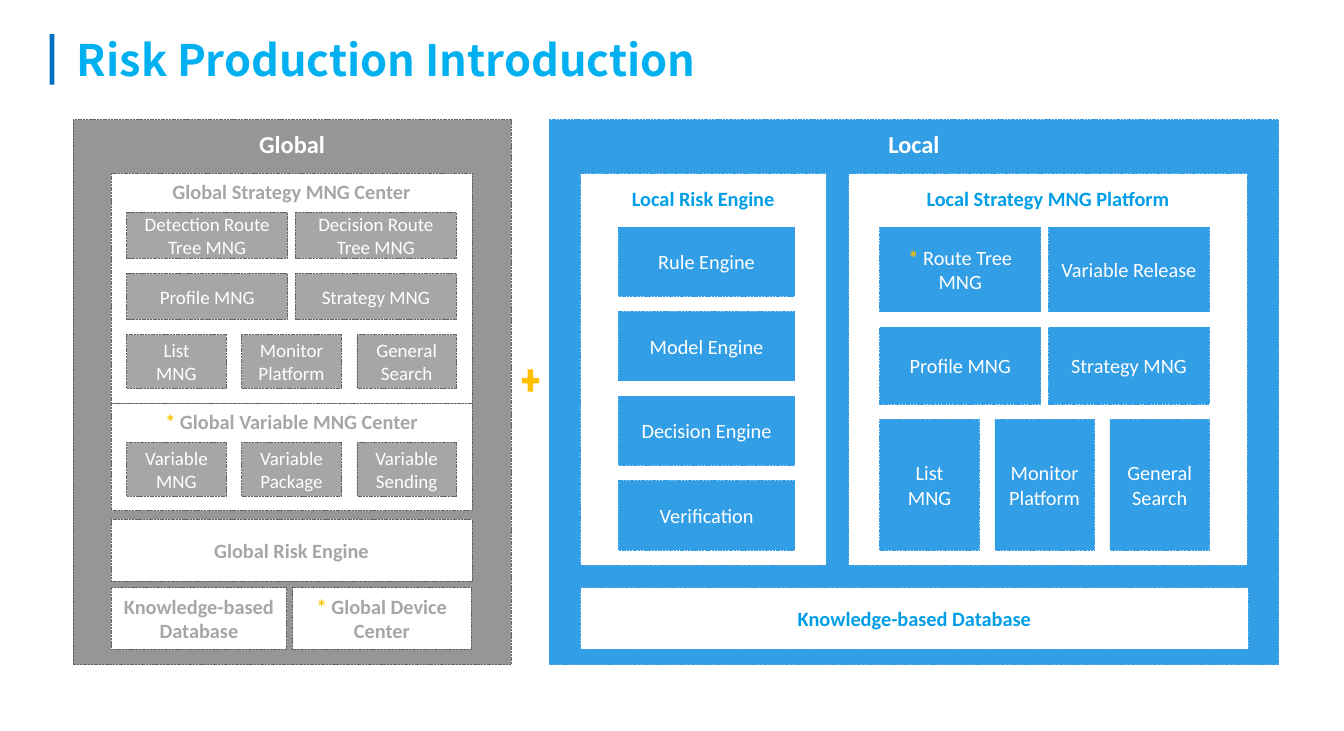
from dataclasses import dataclass

from pptx import Presentation
from pptx.dml.color import RGBColor
from pptx.enum.dml import MSO_LINE
from pptx.enum.shapes import MSO_SHAPE
from pptx.enum.text import MSO_ANCHOR, PP_ALIGN
from pptx.util import Inches, Pt

SLIDE_WIDTH, SLIDE_HEIGHT = Inches(13.78), Inches(7.5)
COLUMN, ROW = SLIDE_WIDTH / 100, SLIDE_HEIGHT / 100


@dataclass(frozen=True)
class Side:
    panel: str
    border: str
    tile: str
    heading: str
    tile_size: int


@dataclass(frozen=True)
class Theme:
    body_font: str = "Calibri"
    title_font: str = "Noto Sans CJK SC"
    title: str = "00B0F0"
    accent: str = "0070C0"
    star: str = "FFC000"
    white: str = "FFFFFF"
    title_size: int = 32
    panel_size: int = 18
    card_size: int = 15
    overall: Side = Side("969696", "646464", "A6A6A6", "A6A6A6", 14)
    local: Side = Side("319EE6", "319EE6", "319EE6", "009EE7", 15)


THEME = Theme()


@dataclass(frozen=True)
class Box:
    """An area on a grid of 100 columns by 100 rows."""
    left: float
    top: float
    width: float
    height: float

    def inner(self, left, top, width, height):
        return Box(self.left + left, self.top + top, width, height)

    def emu(self):
        return (round(self.left * COLUMN), round(self.top * ROW),
                round(self.width * COLUMN), round(self.height * ROW))


# Grid rules shared by both sides
HEADER = 7.33
BAND_TOP, BAND_HEIGHT = 64, 8.4
TILE_ROW_GAP = 2.1
TILE_COLUMN_GAP = 0.58
TILES_WIDTH = 24.53


def style_run(run, size, color, bold, font=THEME.body_font):
    run.font.name = font
    run.font.size = Pt(size)
    run.font.bold = bold
    run.font.color.rgb = RGBColor.from_string(color)


def add_block(slide, box, fill, border=None, outline=MSO_SHAPE.RECTANGLE):
    block = slide.shapes.add_shape(outline, *box.emu())
    block.shadow.inherit = False
    block.fill.solid()
    block.fill.fore_color.rgb = RGBColor.from_string(fill)
    if border:
        block.line.color.rgb = RGBColor.from_string(border)
        block.line.width = Pt(0.5)
        block.line.dash_style = MSO_LINE.SQUARE_DOT
    else:
        block.line.fill.background()
    return block


def add_label(block, label, size, color, bold=False, top_inset=None):
    """Centre a label; a leading star is gold, an inset pins it to the top."""
    frame = block.text_frame
    frame.word_wrap = True
    frame.vertical_anchor = MSO_ANCHOR.MIDDLE
    if top_inset is not None:
        frame.vertical_anchor = MSO_ANCHOR.TOP
        frame.margin_top = Inches(top_inset)
    starred = label.startswith("* ")
    frame.text = "* " if starred else label
    for paragraph in frame.paragraphs:
        paragraph.alignment = PP_ALIGN.CENTER
        for run in paragraph.runs:
            style_run(run, size, color, bold)
    if starred:
        paragraph = frame.paragraphs[0]
        style_run(paragraph.runs[0], size, THEME.star, True)
        name = paragraph.add_run()
        name.text = label.removeprefix("* ")
        style_run(name, size, color, bold)


def add_panel(slide, box, side, label):
    panel = add_block(slide, box, side.panel, side.border)
    add_label(panel, label, THEME.panel_size, THEME.white, True, 0.1)


def add_card(slide, box, side, label, top_inset=None):
    card = add_block(slide, box, THEME.white, side.border)
    add_label(card, label, THEME.card_size, side.heading, True, top_inset)


def add_tiles(slide, box, side, rows):
    """Stack rows of (height, labels) tiles that fill the width of the box."""
    top = 0
    for height, labels in rows:
        gap = TILE_COLUMN_GAP * (len(labels) - 1)
        width = (box.width - gap * (len(labels) - 1)) / len(labels)
        for index, label in enumerate(labels):
            place = box.inner(index * (width + gap), top, width, height)
            tile = add_block(slide, place, side.tile, side.border)
            add_label(tile, label, side.tile_size, THEME.white)
        top += height + TILE_ROW_GAP


def add_title(slide, box):
    # Accent bar and heading
    add_block(slide, box.inner(-1.3, 1.2, 0.36, 6.93), THEME.accent)
    heading = slide.shapes.add_textbox(*box.emu()).text_frame
    heading.word_wrap = True
    heading.vertical_anchor = MSO_ANCHOR.MIDDLE
    heading.text = "Risk Production Introduction"
    style_run(heading.paragraphs[0].runs[0], THEME.title_size, THEME.title,
              True, THEME.title_font)


def add_global(slide, box):
    side = THEME.overall
    margin, card_width, tile_margin, tile_top = 2.83, 26.85, 1.16, 5.33
    add_panel(slide, box, side, "Global")

    # Strategy and variable centers
    strategy = box.inner(margin, HEADER, card_width, 31.47)
    variable = box.inner(margin, HEADER + strategy.height, card_width, 14.67)
    centers = [
        (strategy, "Global Strategy MNG Center", [
            (6.27, ["Detection Route Tree MNG", "Decision Route Tree MNG"]),
            (6.27, ["Profile MNG", "Strategy MNG"]),
            (7.33, ["List\nMNG", "Monitor\nPlatform", "General\nSearch"])]),
        (variable, "* Global Variable MNG Center", [
            (7.33, ["Variable\nMNG", "Variable\nPackage", "Variable\nSending"])]),
    ]
    for center, label, rows in centers:
        add_card(slide, center, side, label, 0.06)
        tiles = center.inner(tile_margin, tile_top, TILES_WIDTH, 0)
        add_tiles(slide, tiles, side, rows)

    # Engine, database and device center
    for left, top, width, label in [
            (margin, 54.67, card_width, "Global Risk Engine"),
            (margin, BAND_TOP, 13.06, "Knowledge-based Database"),
            (16.33, BAND_TOP, 13.28, "* Global Device Center")]:
        add_card(slide, box.inner(left, top, width, BAND_HEIGHT), side, label)


def add_local(slide, box):
    side = THEME.local
    margin, card_height = 2.32, 53.6
    add_panel(slide, box, side, "Local")

    # Risk engine and strategy platform
    engine = box.inner(margin, HEADER, 18.29, card_height)
    platform = box.inner(22.28, HEADER, 29.68, card_height)
    engines = ["Rule Engine", "Model Engine", "Decision Engine", "Verification"]
    cards = [
        (engine, "Local Risk Engine", 2.83, 13.13,
         [(9.47, [name]) for name in engines]),
        (platform, "Local Strategy MNG Platform", 2.32, TILES_WIDTH, [
            (11.6, ["* Route Tree MNG", "Variable Release"]),
            (10.53, ["Profile MNG", "Strategy MNG"]),
            (17.87, ["List\nMNG", "Monitor\nPlatform", "General\nSearch"])]),
    ]
    for card, label, tile_margin, tiles_width, rows in cards:
        add_card(slide, card, side, label, 0.13)
        tiles = card.inner(tile_margin, HEADER, tiles_width, 0)
        add_tiles(slide, tiles, side, rows)

    # Database
    database = box.inner(margin, BAND_TOP, 49.71, BAND_HEIGHT)
    add_card(slide, database, side, "Knowledge-based Database")


def main():
    deck = Presentation()
    deck.slide_width, deck.slide_height = SLIDE_WIDTH, SLIDE_HEIGHT
    slide = deck.slides.add_slide(deck.slide_layouts[6])
    add_title(slide, Box(5, 3.47, 90, 9.2))
    add_global(slide, Box(5.44, 16.4, 32.58, 74.53))
    add_local(slide, Box(40.86, 16.4, 54.28, 74.53))
    # Plus sign between the two sides
    add_block(slide, Box(38.6, 50, 1.74, 4.13), THEME.star,
              outline=MSO_SHAPE.MATH_PLUS)
    deck.save("out.pptx")


if __name__ == "__main__":
    main()
